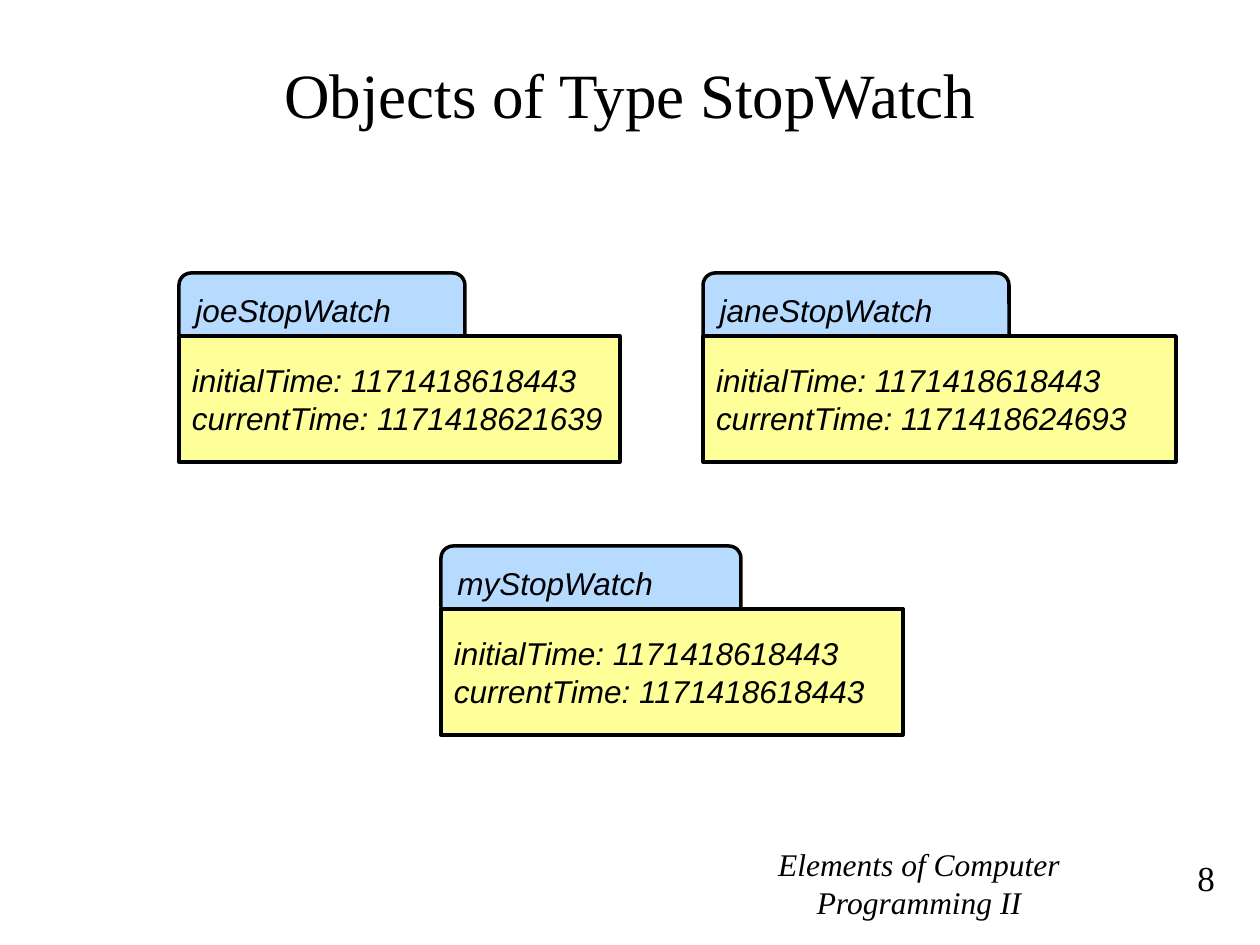
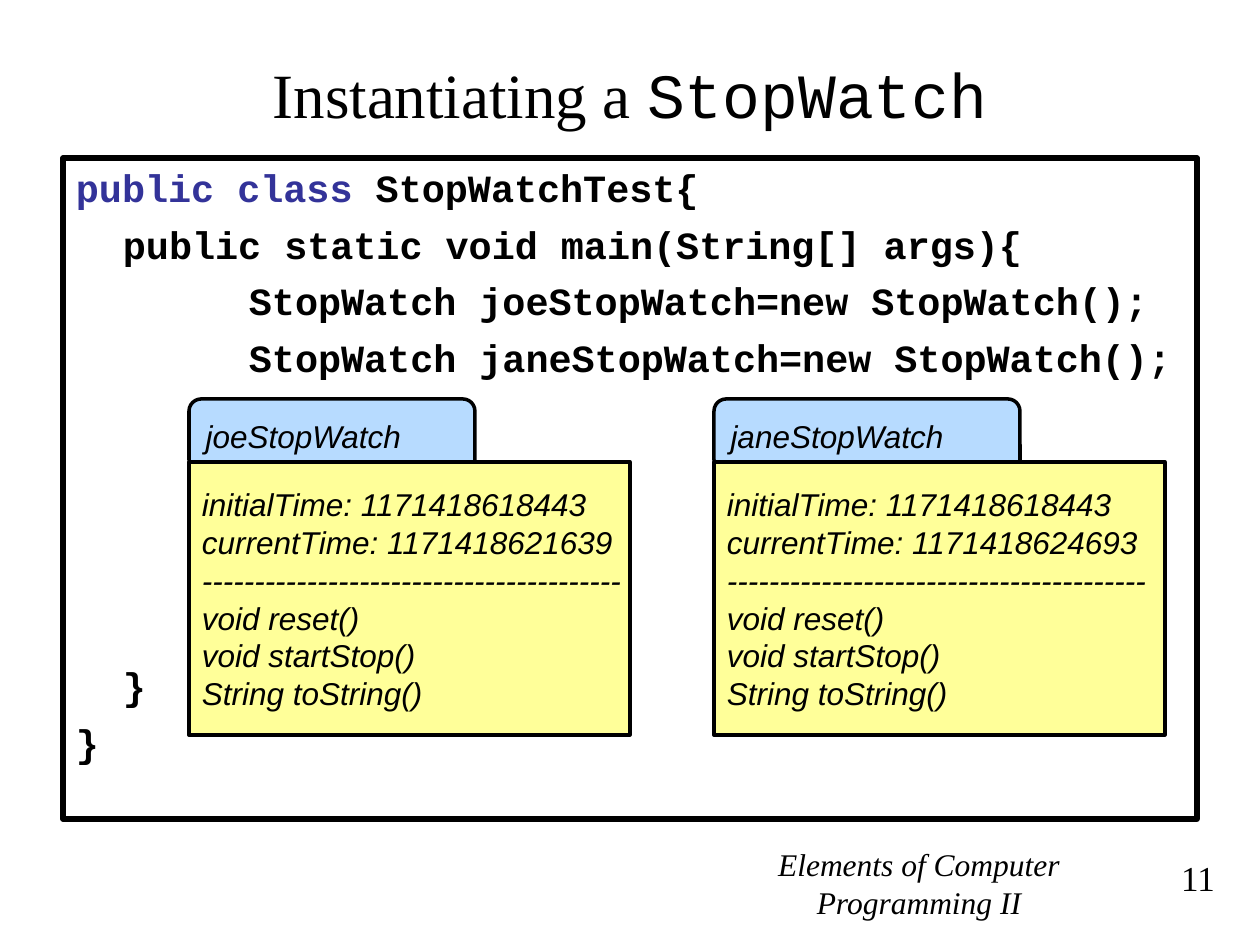
from lxml import etree
from pptx import Presentation
from pptx import util as u
from pptx.dml.color import RGBColor
from pptx.enum import shapes, text
from pptx.oxml.ns import qn

EMU_PER_PX = 914400 / 126
COLORS = {
    "ink": "000000",
    "keyword": "333399",
    "tab": "99CCFF",
    "card": "FFFF99",
}
SERIF, SANS, MONO = "Times New Roman", "Arial", "Courier New"
COURSE = "Elements of Computer Programming II"
TITLE_ONLY = 5
TAB_HEIGHT, TAB_RISE = 73, 63
CODE_INDENTS = (0, 47, 173)
CODE_GAP = 6
OBJECT_GAP = 161
INSET, INSET_TOP = 13, 6

INITIAL = "initialTime: 1171418618443"
JOE_FIELDS = [INITIAL, "currentTime: 1171418621639"]
JANE_FIELDS = [INITIAL, "currentTime: 1171418624693"]
MY_FIELDS = [INITIAL, "currentTime: 1171418618443"]
METHODS = ["-" * 40, "void reset()", "void startStop()", "String toString()"]


def px(length):
    return u.Emu(round(length * EMU_PER_PX))


def color(name):
    return RGBColor.from_string(COLORS[name])


def add_span(para, content, font=SERIF, size=18, ink="ink", bold=False, italic=False):
    span = para.add_run()
    span.text = content
    span.font.name = font
    span.font.size = u.Pt(size)
    span.font.color.rgb = color(ink)
    span.font.bold = bold
    span.font.italic = italic


def set_frame(frame, anchor, insets=(INSET, INSET_TOP, INSET, INSET_TOP)):
    frame.word_wrap = True
    frame.auto_size = text.MSO_AUTO_SIZE.NONE
    frame.vertical_anchor = anchor
    frame.margin_left, frame.margin_top, frame.margin_right, frame.margin_bottom = map(px, insets)


def add_label(page, place, content, align, insets, **style):
    box = page.shapes.add_textbox(*map(px, place))
    set_frame(box.text_frame, text.MSO_ANCHOR.TOP, insets)
    para = box.text_frame.paragraphs[0]
    para.alignment = align
    add_span(para, content, **style)


def add_page(deck, number, title_spans):
    page = deck.slides.add_slide(deck.slide_layouts[TITLE_ONLY])
    add_label(page, (714, 845, 410, 90), COURSE, text.PP_ALIGN.CENTER,
              (0, 0, 0, 13), italic=True)
    add_label(page, (1092, 850, 136, 54), str(number), text.PP_ALIGN.RIGHT,
              (INSET, INSET_TOP, INSET, INSET_TOP), size=20)
    title = page.shapes.title
    title.left, title.top, title.width, title.height = map(px, (63, 38, 1134, 110))
    set_frame(title.text_frame, text.MSO_ANCHOR.MIDDLE)
    para = title.text_frame.paragraphs[0]
    para.alignment = text.PP_ALIGN.CENTER
    for content, font in title_spans:
        add_span(para, content, font=font, size=36)
    return page


def add_outlined(owner, kind, place, fill=None, line_width=2):
    box = owner.shapes.add_shape(kind, *map(px, place))
    box.shadow.inherit = False
    if fill:
        box.fill.solid()
        box.fill.fore_color.rgb = color(fill)
    else:
        box.fill.background()
    box.line.color.rgb = color("ink")
    box.line.width = u.Pt(line_width)
    return box


def set_opacity(box, percent):
    tint = box.fill._xPr.find(qn("a:solidFill"))[0]
    etree.SubElement(tint, qn("a:alpha")).set("val", str(percent * 1000))


def write_lines(box, lines):
    frame = box.text_frame
    set_frame(frame, text.MSO_ANCHOR.MIDDLE, (INSET, INSET_TOP, 0, INSET_TOP))
    for index, line in enumerate(lines):
        para = frame.add_paragraph() if index else frame.paragraphs[0]
        para.alignment = text.PP_ALIGN.LEFT
        add_span(para, line, font=SANS, italic=True)


def add_object(page, name, members, left, top, tab_width, width, height):
    group = page.shapes.add_group_shape()
    tab = add_outlined(group, shapes.MSO_SHAPE.ROUNDED_RECTANGLE,
                       (left, top, tab_width, TAB_HEIGHT), "tab")
    set_opacity(tab, 70)
    write_lines(tab, [name])
    card = add_outlined(group, shapes.MSO_SHAPE.RECTANGLE,
                        (left, top + TAB_RISE, width, height), "card")
    write_lines(card, members)


def add_code(page, place, lines):
    box = add_outlined(page, shapes.MSO_SHAPE.RECTANGLE, place, line_width=3)
    frame = box.text_frame
    set_frame(frame, text.MSO_ANCHOR.TOP)
    for index, (level, gap, spans) in enumerate(lines):
        para = frame.add_paragraph() if index else frame.paragraphs[0]
        para.alignment = text.PP_ALIGN.LEFT
        para.space_before = u.Pt(gap)
        para._p.get_or_add_pPr().set("marL", str(px(CODE_INDENTS[level])))
        for content, ink in spans:
            add_span(para, content, font=MONO, size=22, ink=ink, bold=True)


def build_objects_page(deck):
    page = add_page(deck, 8, [("Objects of Type StopWatch", SERIF)])
    add_object(page, "joeStopWatch", JOE_FIELDS, 179, 273, 286, 441, 126)
    add_object(page, "janeStopWatch", JANE_FIELDS, 703, 273, 306, 473, 126)
    add_object(page, "myStopWatch", MY_FIELDS, 441, 546, 300, 462, 126)


def build_instantiating_page(deck):
    page = add_page(deck, 11, [("Instantiating a ", SERIF), ("StopWatch", MONO)])
    add_code(page, (63, 158, 1134, 661), [
        (0, CODE_GAP, [("public class", "keyword"), (" StopWatchTest{", "ink")]),
        (1, CODE_GAP, [("public static void main(String[] args){", "ink")]),
        (2, CODE_GAP, [("StopWatch joeStopWatch=new StopWatch();", "ink")]),
        (2, CODE_GAP, [("StopWatch janeStopWatch=new StopWatch();", "ink")]),
        (1, OBJECT_GAP, [("}", "ink")]),
        (0, CODE_GAP, [("}", "ink")]),
    ])
    add_object(page, "joeStopWatch", JOE_FIELDS + METHODS, 189, 399, 286, 441, 273)
    add_object(page, "janeStopWatch", JANE_FIELDS + METHODS, 714, 399, 306, 451, 273)


def main():
    deck = Presentation()
    deck.slide_width, deck.slide_height = px(1260), px(945)
    build_objects_page(deck)
    build_instantiating_page(deck)
    deck.save("out.pptx")


if __name__ == "__main__":
    main()
